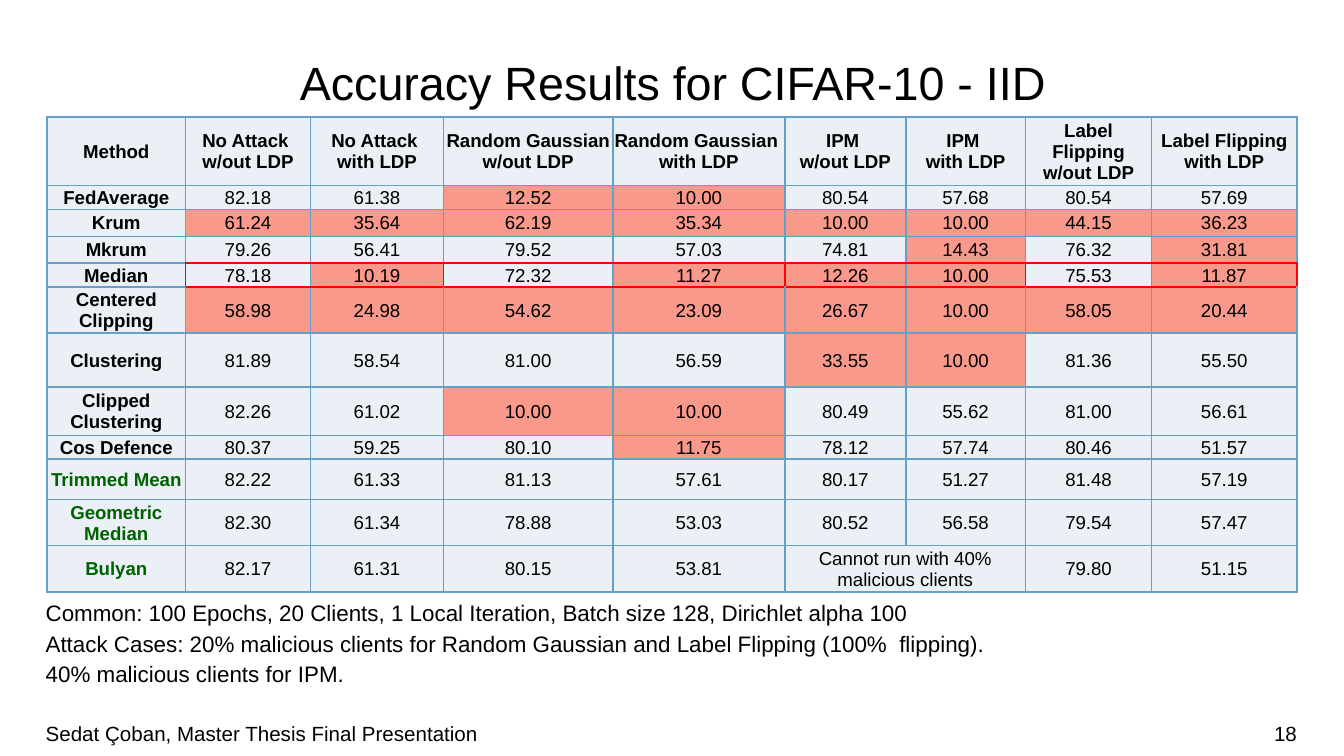
from dataclasses import dataclass

import lxml.etree
import pptx
import pptx.dml.color
import pptx.enum.text
import pptx.oxml.ns
import pptx.util

RGBColor = pptx.dml.color.RGBColor
Align = pptx.enum.text.PP_ALIGN
Anchor = pptx.enum.text.MSO_ANCHOR

BLACK = RGBColor(0x00, 0x00, 0x00)
GREEN = RGBColor(0x00, 0x62, 0x00)
PALE = RGBColor(0xEA, 0xF0, 0xF5)
SALMON = RGBColor(0xF9, 0x99, 0x8B)
BLUE = RGBColor(0x64, 0xA0, 0xC8)
RED = RGBColor(0xFF, 0x00, 0x00)

FONT = "Arial"
SLIDE_WIDTH = pptx.util.Inches(10)
SLIDE_HEIGHT = SLIDE_WIDTH * 9 // 16
CELL_INSET = pptx.util.Inches(0.01)

COLUMN_SHARES = [10.3, 9.3, 9.9, 12.6, 12.8, 9, 8.9, 9.4, 10.8]
ROW_SHARES = [8.36, 2.84, 3.56, 3.56, 2.84, 5.69, 7.11, 6.4, 2.84, 5.33, 5.69, 5.69]
MEDIAN_ROW = 4
IPM_COLUMN = 5
FAILED_WITHOUT_LDP = 70
FAILED_WITH_LDP = 50


@dataclass
class Area:
    left: float
    top: float
    width: float
    height: float

    def lengths(self) -> tuple[int, int, int, int]:
        return (across(self.left), down(self.top), across(self.width), down(self.height))


@dataclass
class Caption:
    text: str
    area: Area
    size: float
    align: Align = Align.LEFT
    anchor: Anchor = Anchor.TOP
    inset: float = 0
    spacing: float | pptx.util.Length | None = None


@dataclass
class Method:
    name: str
    scores: str
    color: RGBColor = BLACK


CAPTIONS = [
    Caption("Accuracy Results for CIFAR-10 - IID", Area(3.5, 6.58, 93.1, 7.47), 25,
            Align.CENTER, spacing=pptx.util.Pt(32)),
    Caption("18", Area(74.1, 94.4, 22.4, 5.33), 11, Align.RIGHT, Anchor.MIDDLE, 0.05),
    Caption("Sedat Çoban, Master Thesis Final Presentation", Area(3.4, 94.4, 70.7, 5.33), 11,
            anchor=Anchor.MIDDLE, inset=0.05),
    Caption("Common: 100 Epochs, 20 Clients, 1 Local Iteration, Batch size 128, Dirichlet alpha 100\v"
            "Attack Cases: 20% malicious clients for Random Gaussian and Label Flipping "
            "(100%  flipping). 40% malicious clients for IPM.",
            Area(3.4, 78.76, 70.7, 11.91), 12, spacing=1.14),
]

HEADINGS = ["Method"] + [
    f"{attack} \n{privacy}"
    for attack in ("No Attack", "Random Gaussian", "IPM")
    for privacy in ("w/out LDP", "with LDP")
] + ["Label Flipping w/out LDP", "Label Flipping with LDP"]

METHODS = [
    Method("FedAverage", "82.18 61.38 12.52 10.00 80.54 57.68 80.54 57.69"),
    Method("Krum", "61.24 35.64 62.19 35.34 10.00 10.00 44.15 36.23"),
    Method("Mkrum", "79.26 56.41 79.52 57.03 74.81 14.43 76.32 31.81"),
    Method("Median", "78.18 10.19 72.32 11.27 12.26 10.00 75.53 11.87"),
    Method("Centered Clipping", "58.98 24.98 54.62 23.09 26.67 10.00 58.05 20.44"),
    Method("Clustering", "81.89 58.54 81.00 56.59 33.55 10.00 81.36 55.50"),
    Method("Clipped Clustering", "82.26 61.02 10.00 10.00 80.49 55.62 81.00 56.61"),
    Method("Cos Defence", "80.37 59.25 80.10 11.75 78.12 57.74 80.46 51.57"),
    Method("Trimmed Mean", "82.22 61.33 81.13 57.61 80.17 51.27 81.48 57.19", GREEN),
    Method("Geometric Median", "82.30 61.34 78.88 53.03 80.52 56.58 79.54 57.47", GREEN),
    Method("Bulyan", "82.17 61.31 80.15 53.81 - - 79.80 51.15", GREEN),
]
NOT_RUN = "Cannot run with 40% malicious clients"


def across(percent: float) -> int:
    return round(SLIDE_WIDTH * percent / 100)


def down(percent: float) -> int:
    return round(SLIDE_HEIGHT * percent / 100)


def format_text(frame, size: float, align: Align, color: RGBColor = BLACK,
                bold: bool = False, spacing=None) -> None:
    for paragraph in frame.paragraphs:
        paragraph.alignment = align
        if spacing is not None:
            paragraph.line_spacing = spacing
        for run in paragraph.runs:
            run.font.name = FONT
            run.font.size = pptx.util.Pt(size)
            run.font.bold = bold
            run.font.color.rgb = color


def draw_caption(slide, caption: Caption) -> None:
    frame = slide.shapes.add_textbox(*caption.area.lengths()).text_frame
    frame.word_wrap = True
    frame.vertical_anchor = caption.anchor
    frame.margin_left = frame.margin_right = 0
    frame.margin_top = frame.margin_bottom = pptx.util.Inches(caption.inset)
    frame.text = caption.text
    format_text(frame, caption.size, caption.align, spacing=caption.spacing)


def level_edge(edge: int, column: int) -> RGBColor:
    return RED if column > 0 and edge in (MEDIAN_ROW, MEDIAN_ROW + 1) else BLUE


def upright_edge(edge: int, row: int) -> RGBColor:
    return RED if row == MEDIAN_ROW and edge % 2 == 1 else BLUE


def draw_borders(cell, row: int, column: int) -> None:
    properties = cell._tc.get_or_add_tcPr()
    edges = {
        "a:lnL": upright_edge(column, row),
        "a:lnR": upright_edge(column + 1, row),
        "a:lnT": level_edge(row, column),
        "a:lnB": level_edge(row + 1, column),
    }
    qn = pptx.oxml.ns.qn
    for tag, color in edges.items():
        line = lxml.etree.SubElement(properties, qn(tag), w=str(pptx.util.Pt(1)))
        fill = lxml.etree.SubElement(line, qn("a:solidFill"))
        lxml.etree.SubElement(fill, qn("a:srgbClr"), val=str(color))


def score_fill(score: str, column: int) -> RGBColor:
    limit = FAILED_WITHOUT_LDP if column % 2 == 1 else FAILED_WITH_LDP
    return SALMON if score != "-" and float(score) < limit else PALE


def draw_cell(cell, row: int, column: int, text: str, fill: RGBColor = PALE,
              color: RGBColor = BLACK, bold: bool = False) -> None:
    cell.margin_left = cell.margin_right = cell.margin_top = CELL_INSET
    cell.margin_bottom = 0
    cell.vertical_anchor = Anchor.MIDDLE
    draw_borders(cell, row, column)
    cell.fill.solid()
    cell.fill.fore_color.rgb = fill
    cell.text_frame.text = text
    format_text(cell.text_frame, 10, Align.CENTER, color, bold)


def draw_results(slide) -> None:
    area = Area(3.5, 15.47, sum(COLUMN_SHARES), sum(ROW_SHARES))
    results = slide.shapes.add_table(len(ROW_SHARES), len(COLUMN_SHARES), *area.lengths()).table
    results.first_row = results.horz_banding = False
    for column, share in zip(results.columns, COLUMN_SHARES):
        column.width = across(share)
    for row, share in zip(results.rows, ROW_SHARES):
        row.height = down(share)
    for column, heading in enumerate(HEADINGS):
        draw_cell(results.cell(0, column), 0, column, heading, bold=True)
    for row, method in enumerate(METHODS, start=1):
        draw_cell(results.cell(row, 0), row, 0, method.name, color=method.color, bold=True)
        for column, score in enumerate(method.scores.split(), start=1):
            text = "" if score == "-" else score
            draw_cell(results.cell(row, column), row, column, text, score_fill(score, column))
    bulyan_ipm = results.cell(len(METHODS), IPM_COLUMN)
    bulyan_ipm.merge(results.cell(len(METHODS), IPM_COLUMN + 1))
    bulyan_ipm.text_frame.text = NOT_RUN
    format_text(bulyan_ipm.text_frame, 10, Align.CENTER)


def main() -> None:
    deck = pptx.Presentation()
    deck.slide_width = SLIDE_WIDTH
    deck.slide_height = SLIDE_HEIGHT
    slide = deck.slides.add_slide(deck.slide_layouts[6])
    for caption in CAPTIONS:
        draw_caption(slide, caption)
    draw_results(slide)
    deck.save("out.pptx")


if __name__ == "__main__":
    main()
